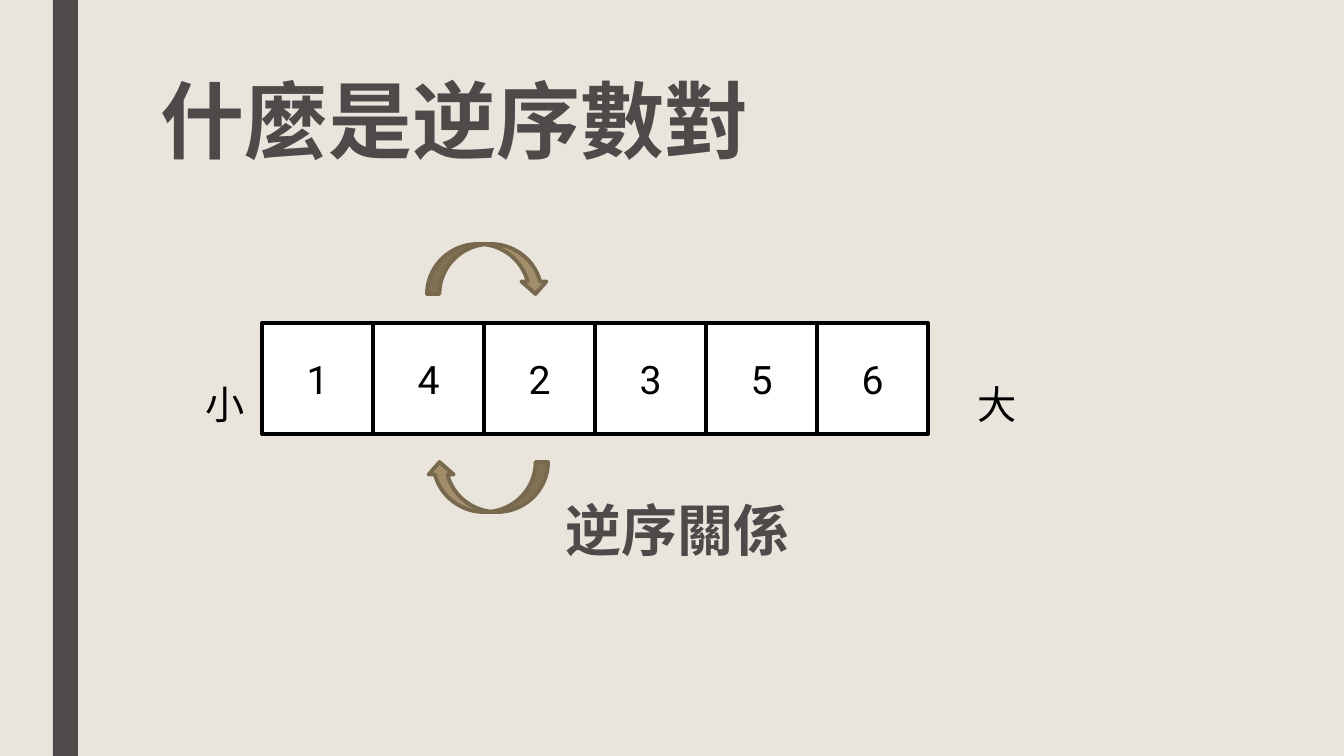
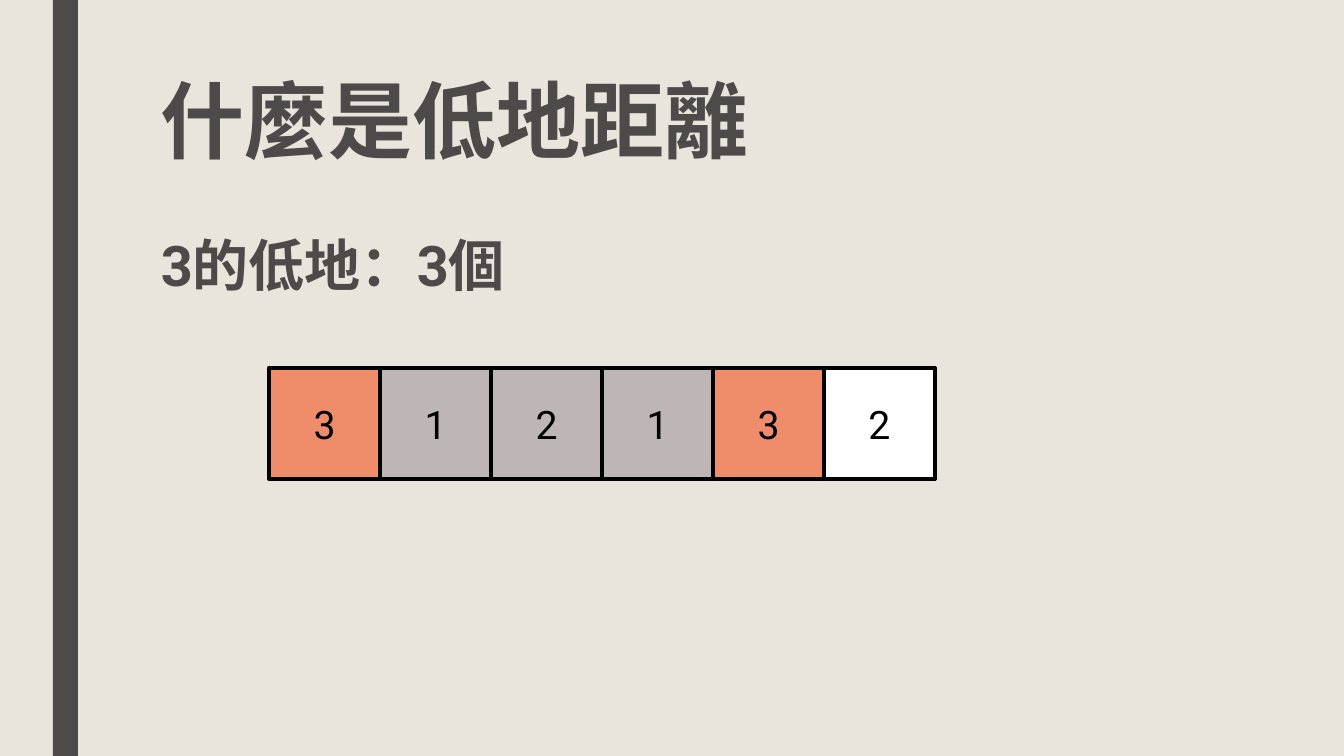
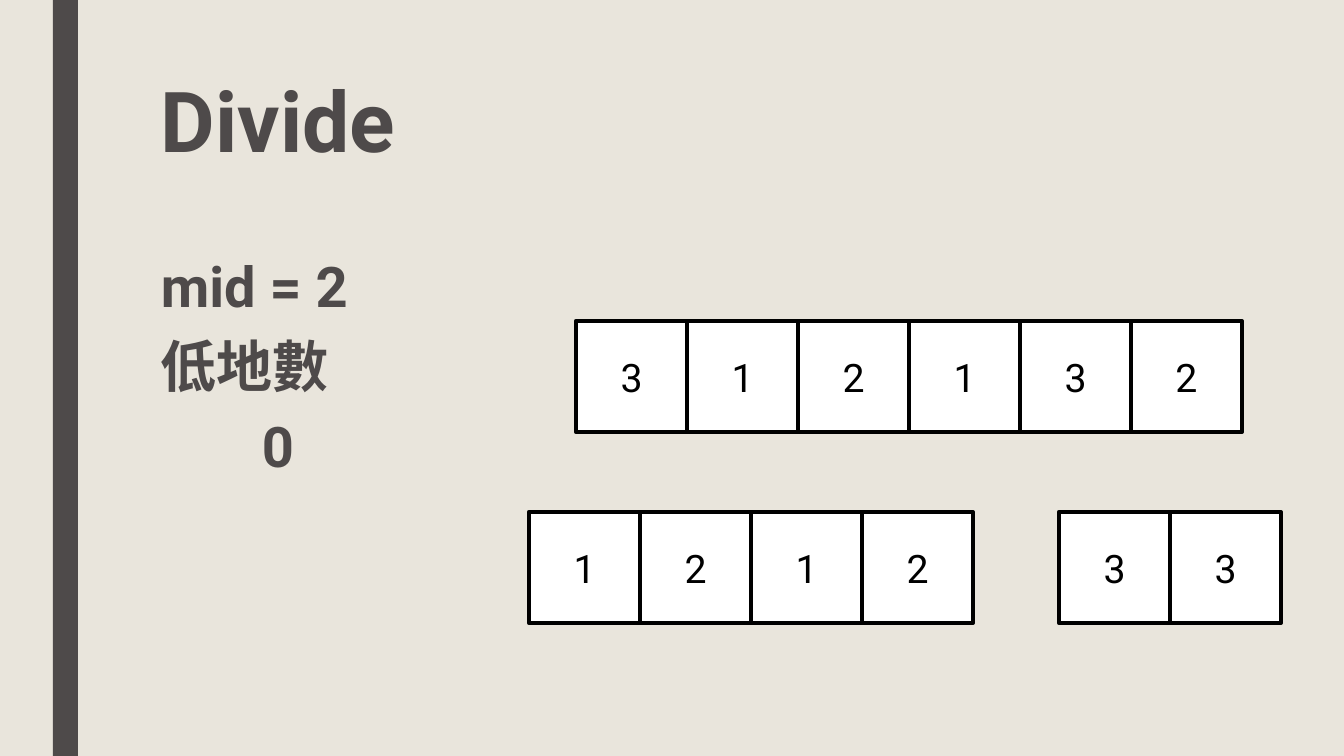
import pptx
import pptx.util
import pptx.dml.color
import pptx.enum.shapes
import pptx.enum.text

WIDTH, HEIGHT = 1344, 756
EMU_PER_PX = 12192000 / WIDTH
FONT = "Roboto"
CREAM, CHARCOAL, BLACK, WHITE = "E9E5DC", "4E4A4A", "000000", "FFFFFF"
ORANGE, GRAY, TAN, BROWN = "EF8C6A", "BDB5B6", "A28E6A", "78694E"
CELL = 111
CONTENT_LEFT = 151
CONTENT_WIDTH = 1058
SHAPES = pptx.enum.shapes.MSO_SHAPE
ALIGN = pptx.enum.text.PP_ALIGN
ANCHOR = pptx.enum.text.MSO_ANCHOR


def px(length):
    return pptx.util.Emu(round(length * EMU_PER_PX))


def color(value):
    return pptx.dml.color.RGBColor.from_string(value)


def write_text(frame, text, size=28, text_color=BLACK, bold=False, align=ALIGN.LEFT,
               anchor=ANCHOR.TOP, wrap=True, line_spacing=None, before=0, after=0, indents=()):
    frame.word_wrap = wrap
    frame.vertical_anchor = anchor
    for index, line in enumerate(text.split("\n")):
        paragraph = frame.paragraphs[0] if index == 0 else frame.add_paragraph()
        paragraph.alignment = align
        paragraph.line_spacing = line_spacing
        paragraph.space_before = pptx.util.Pt(before)
        paragraph.space_after = pptx.util.Pt(after)
        if index < len(indents):
            paragraph._p.get_or_add_pPr().set("marL", str(px(indents[index])))
        run = paragraph.add_run()
        run.text = line
        run.font.name = FONT
        run.font.size = pptx.util.Pt(size)
        run.font.bold = bold
        run.font.color.rgb = color(text_color)


def add_text(slide, left, top, width, height, text, **text_format):
    box = slide.shapes.add_textbox(px(left), px(top), px(width), px(height))
    write_text(box.text_frame, text, **text_format)


def add_block(slide, kind, left, top, width, height, fill, line=None, line_width=3):
    shape = slide.shapes.add_shape(kind, px(left), px(top), px(width), px(height))
    shape.shadow.inherit = False
    shape.fill.solid()
    shape.fill.fore_color.rgb = color(fill)
    if line:
        shape.line.color.rgb = color(line)
        shape.line.width = pptx.util.Pt(line_width)
    else:
        shape.line.fill.background()
    return shape


def add_array(slide, left, top, values, fills=None):
    for index, value in enumerate(values):
        fill = fills[index] if fills else WHITE
        cell = add_block(slide, SHAPES.RECTANGLE, left + index * CELL, top, CELL, CELL, fill, BLACK)
        write_text(cell.text_frame, str(value), align=ALIGN.CENTER, anchor=ANCHOR.MIDDLE)


def add_swap_arrows(slide, left, top, width, height, arrow_height):
    for arrow_top, rotation in ((top, 0), (top + height - arrow_height, 180)):
        arrow = add_block(slide, SHAPES.CURVED_DOWN_ARROW, left, arrow_top, width, arrow_height,
                          TAN, BROWN, 2.75)
        arrow.rotation = rotation


def add_titled_slide(presentation, title):
    slide = presentation.slides.add_slide(presentation.slide_layouts[6])
    add_block(slide, SHAPES.RECTANGLE, 53, 0, 25, HEIGHT, CHARCOAL)
    add_text(slide, CONTENT_LEFT, 76, CONTENT_WIDTH, 163, title,
             size=60, text_color=CHARCOAL, bold=True, line_spacing=0.89)
    return slide


def build_inversion_slide(presentation):
    slide = add_titled_slide(presentation, "什麼是逆序數對")
    array_left, array_top = 262, 323
    add_array(slide, array_left, array_top, [1, 4, 2, 3, 5, 6])
    for left, text in ((array_left - 66, "小"), (array_left + 6 * CELL + 40, "大")):
        add_text(slide, left, array_top + 52, 59, 57, text, wrap=False)
    add_swap_arrows(slide, array_left + 165, array_top - 79, 121, 268, 50)
    add_text(slide, 556, 491, 247, 78, "逆序關係",
             size=40, text_color=CHARCOAL, bold=True, wrap=False)


def build_lowland_slide(presentation):
    slide = add_titled_slide(presentation, "什麼是低地距離")
    add_array(slide, 269, 368, [3, 1, 2, 1, 3, 2], [ORANGE, GRAY, GRAY, GRAY, ORANGE, WHITE])
    add_text(slide, CONTENT_LEFT, 226, 1108, 78, "3的低地：3個",
             size=40, text_color=CHARCOAL, bold=True)


def build_divide_slide(presentation):
    slide = add_titled_slide(presentation, "Divide")
    add_text(slide, CONTENT_LEFT, 252, CONTENT_WIDTH, 395, "mid = 2\n低地數\n0",
             size=40, text_color=CHARCOAL, bold=True, line_spacing=0.94,
             before=10, after=2, indents=(0, 0, 101))
    add_array(slide, 576, 321, [3, 1, 2, 1, 3, 2])
    add_array(slide, 529, 512, [1, 2, 1, 2])
    add_array(slide, 1059, 512, [3, 3])


def main():
    presentation = pptx.Presentation()
    presentation.slide_width = px(WIDTH)
    presentation.slide_height = px(HEIGHT)
    background = presentation.slide_master.background.fill
    background.solid()
    background.fore_color.rgb = color(CREAM)
    build_inversion_slide(presentation)
    build_lowland_slide(presentation)
    build_divide_slide(presentation)
    presentation.save("out.pptx")


if __name__ == "__main__":
    main()
